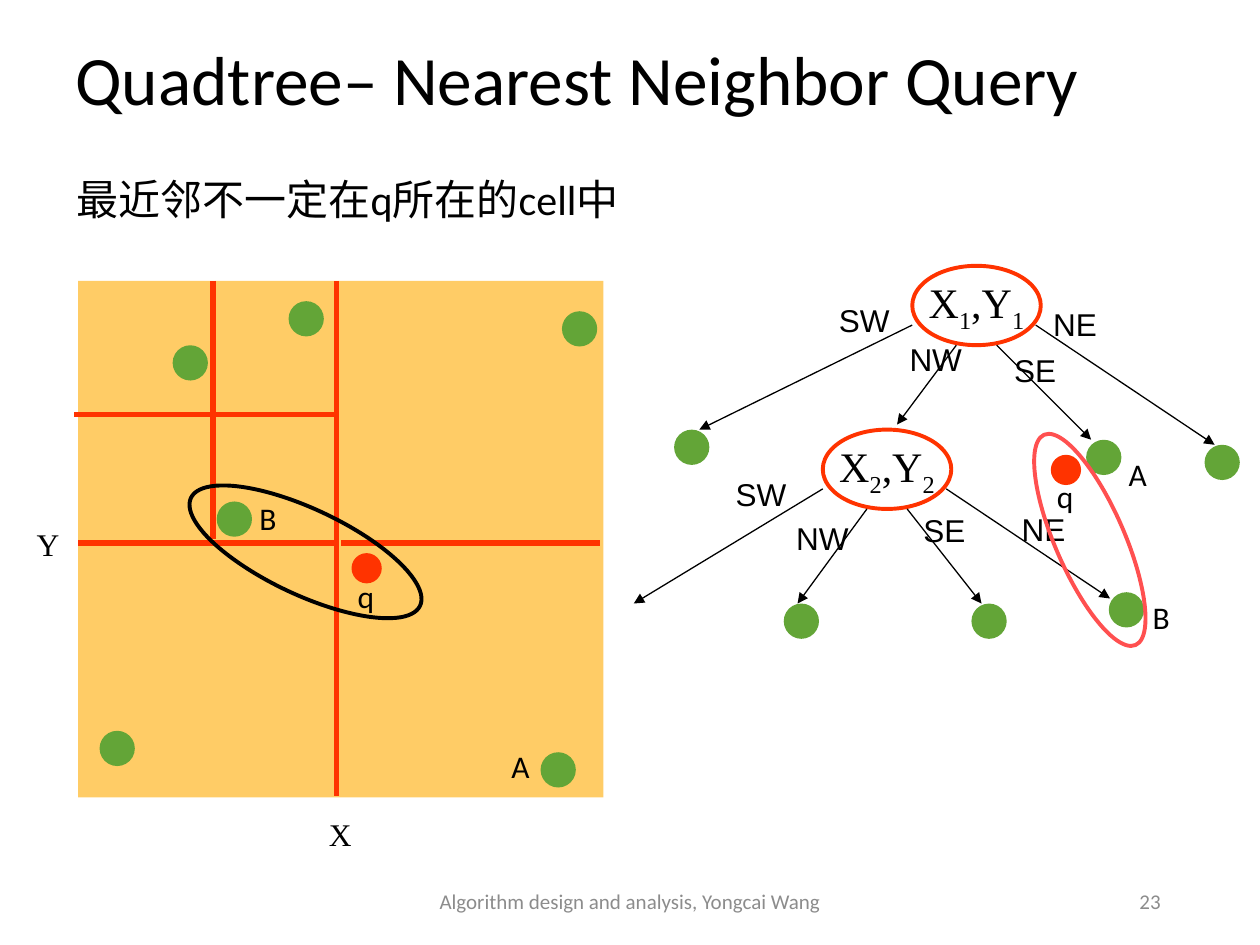
from pptx import Presentation, util as u
from pptx.dml.color import RGBColor
from pptx.enum import shapes, text
from pptx.oxml.ns import qn
from lxml import etree

# The slide is a grid of 100 columns by 75 rows
COLUMNS, ROWS = 100, 75
CELL = u.Inches(0.1)
DOT, QUERY_DOT = 2.8, 2.4
NODE_W, NODE_H = 10.2, 6.3
LABEL_W = 6.8
BLACK, GREY = "000000", "8C8C8C"
GREEN, RED, PINK, SAND = "63A537", "FF3300", "FF5050", "FFCC66"
LEFT, CENTER, RIGHT = text.PP_ALIGN.LEFT, text.PP_ALIGN.CENTER, text.PP_ALIGN.RIGHT
OVAL, BOX = shapes.MSO_SHAPE.OVAL, shapes.MSO_SHAPE.RECTANGLE

# Where the four edges leave a tree node, from its top left corner
EDGE_STARTS = {"SW": (0, 4.7), "NW": (3.5, NODE_H), "SE": (6.7, NODE_H), "NE": (9.8, 4.7)}


def cells(*counts):
    return [round(count * CELL) for count in counts]


def color(hex_code):
    return RGBColor.from_string(hex_code)


def style_run(run, size, font, hex_code=BLACK):
    run.font.size = u.Pt(size)
    run.font.name = font
    run.font.color.rgb = color(hex_code)


def add_text(slide, words, col, row, width, height=4, size=18, font="Calibri",
             hex_code=BLACK, align=LEFT, middle=False, wrap=False):
    frame = slide.shapes.add_textbox(*cells(col, row, width, height)).text_frame
    frame.word_wrap = wrap
    if middle:
        frame.vertical_anchor = text.MSO_ANCHOR.MIDDLE
    paragraph = frame.paragraphs[0]
    paragraph.text = words
    paragraph.alignment = align
    style_run(paragraph.runs[0], size, font, hex_code)
    return paragraph


def add_area(slide, kind, col, row, width, height, fill=None, outline=None, rotation=0):
    area = slide.shapes.add_shape(kind, *cells(col, row, width, height))
    area.shadow.inherit = False
    area.rotation = rotation
    if fill:
        area.fill.solid()
        area.fill.fore_color.rgb = color(fill)
    else:
        area.fill.background()
    if outline:
        area.line.color.rgb = color(outline)
        area.line.width = u.Pt(2.25)
    else:
        area.line.fill.background()
    return area


def add_dot(slide, col, row, size=DOT, fill=GREEN):
    add_area(slide, OVAL, col, row, size, size, fill)


def add_line(slide, start, end, hex_code, weight, arrow=False):
    line = slide.shapes.add_connector(shapes.MSO_CONNECTOR.STRAIGHT, *cells(*start, *end))
    line.line.color.rgb = color(hex_code)
    line.line.width = u.Pt(weight)
    if arrow:
        outline = line.line._get_or_add_ln()
        etree.SubElement(outline, qn("a:tailEnd"), type="triangle")
    etree.SubElement(line._element.spPr, qn("a:effectLst"))


def add_node(slide, number, col, row, edges):
    """Draw a split node and its edges: quadrant, arrow tip, label corner."""
    node = add_area(slide, OVAL, col, row, NODE_W, NODE_H, outline=RED)
    frame = node.text_frame
    frame.word_wrap = False
    frame.vertical_anchor = text.MSO_ANCHOR.MIDDLE
    paragraph = frame.paragraphs[0]
    paragraph.alignment = CENTER
    for part in ("X", number, ",Y", number):
        run = paragraph.add_run()
        run.text = part
        style_run(run, 24, "Times New Roman")
        if part == number:
            run._r.get_or_add_rPr().set("baseline", "-25000")
    for quadrant, tip, label in edges:
        dx, dy = EDGE_STARTS[quadrant]
        add_line(slide, (col + dx, row + dy), tip, BLACK, 0.75, arrow=True)
        add_text(slide, quadrant, *label, LABEL_W, font="Arial")


def draw_plane(slide):
    add_area(slide, BOX, 6.2, 22.3, 41.7, 41, SAND)
    for col, row in ((7.9, 58), (17.2, 39.8), (13.7, 27.4), (22.9, 23.9),
                     (42.9, 59.7), (44.6, 24.7)):
        add_dot(slide, col, row)
    # Splitting lines
    for start, end in (((26.7, 22.3), (26.7, 63.2)), ((6.2, 43.1), (26.7, 43.1)),
                       ((16.9, 22.3), (16.9, 42.8)), ((5.9, 32.9), (26.7, 32.9)),
                       ((27.1, 43.1), (47.6, 43.1))):
        add_line(slide, start, end, RED, 3)
    for axis, col, row in (("X", 25.1, 64.2), ("Y", 1.9, 41.2)):
        add_text(slide, axis, col, row, 3.8, font="Times New Roman", align=CENTER)
    # Query point and its nearest neighbour
    add_dot(slide, 27.9, 43.9, QUERY_DOT, RED)
    add_area(slide, OVAL, 14.2, 40.4, 20.1, 6.8, outline=BLACK, rotation=25.2)
    for name, col, row in (("q", 27.4, 45.3), ("B", 19.6, 39.1), ("A", 39.6, 58.8)):
        add_text(slide, name, col, row, 3.5)


def draw_tree(slide):
    add_node(slide, "1", 72.4, 21.1, (
        ("NE", (96.4, 35.3), (82.6, 23.7)), ("SW", (55.5, 34.1), (65.6, 23.4)),
        ("NW", (71.2, 33.7), (71.2, 26.5)), ("SE", (86.6, 34.9), (79.5, 27.4))))
    add_node(slide, "2", 65.3, 34.1, (
        ("NE", (88.1, 47.5), (80.1, 40)), ("SW", (50.3, 47.9), (57.4, 37.2)),
        ("NW", (63.3, 47.9), (62.2, 40.7)), ("SE", (77.9, 47.9), (72.3, 40.1))))
    # Leaves
    for col, row in ((53.5, 34.1), (86.2, 34.9), (95.6, 35.3),
                     (62.2, 47.9), (88, 47), (77.1, 47.9)):
        add_dot(slide, col, row)
    # Query point and its nearest neighbour
    add_dot(slide, 83.4, 36.1, QUERY_DOT, RED)
    add_area(slide, OVAL, 77.4, 40.1, 18.2, 5.5, outline=PINK, rotation=246.5)
    for name, col, row in (("q", 82.9, 37.4), ("A", 88.6, 35.6), ("B", 90.5, 47)):
        add_text(slide, name, col, row, 3.5)


def main():
    deck = Presentation()
    deck.slide_width, deck.slide_height = cells(COLUMNS, ROWS)
    slide = deck.slides.add_slide(deck.slide_layouts[6])

    # Title and statement
    title = add_text(slide, "Quadtree– Nearest Neighbor Query", 5, 0.3, 90, 12.5,
                     size=39.6, middle=True, wrap=True)
    title.line_spacing = 0.9
    add_text(slide, "最近邻不一定在q所在的cell中", 5.1, 13.3, 45.5, 5, size=24, wrap=True)

    draw_plane(slide)
    draw_tree(slide)

    # Footer
    for words, col, width, align in (
            ("Algorithm design and analysis, Yongcai Wang", 33.1, 33.8, CENTER),
            ("23", 70.6, 22.5, RIGHT)):
        add_text(slide, words, col, 69.5, width, size=12, hex_code=GREY,
                 align=align, middle=True, wrap=True)
    deck.save("out.pptx")


if __name__ == "__main__":
    main()
